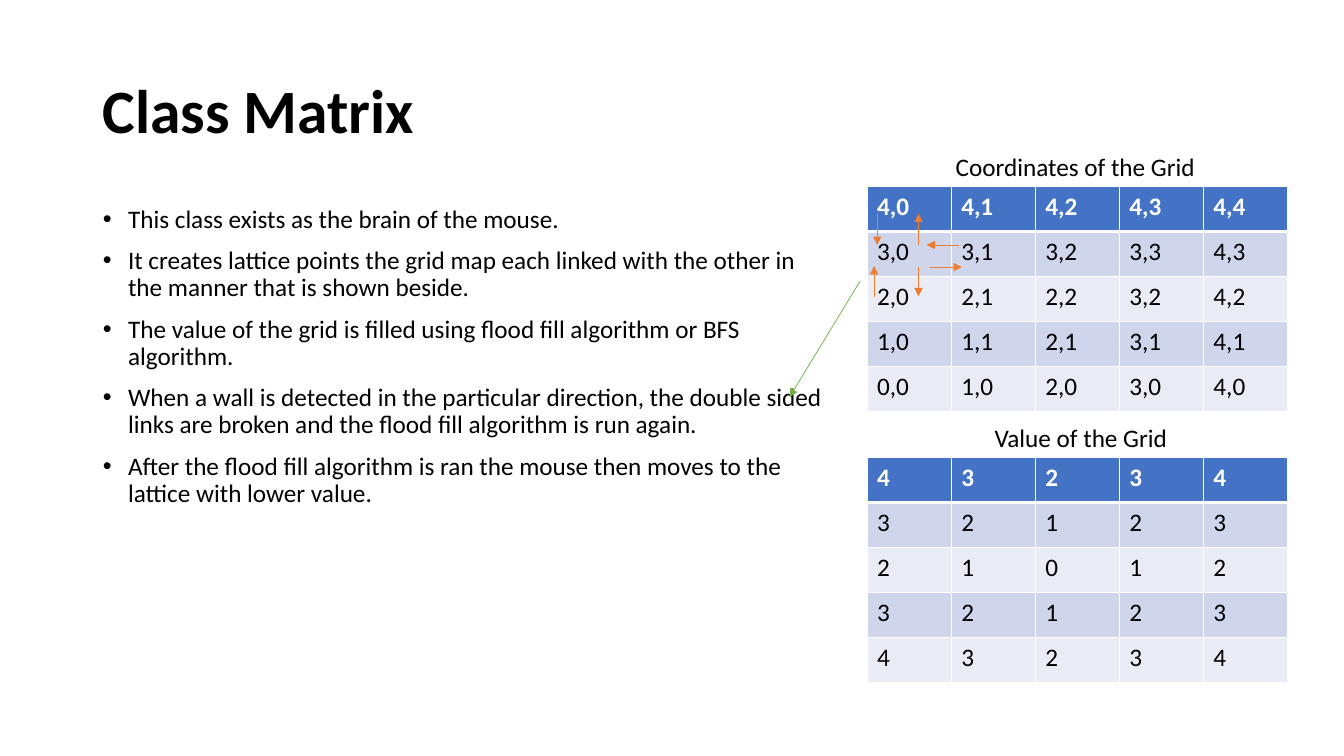
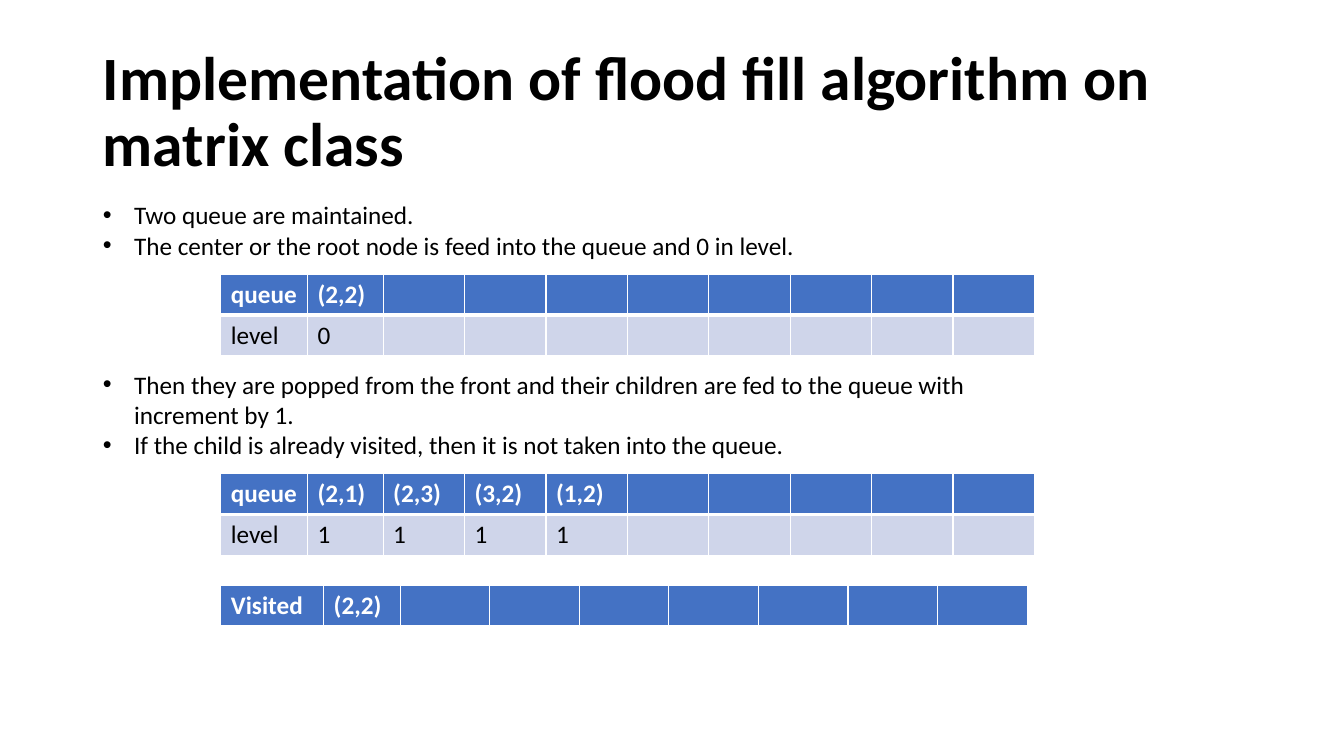
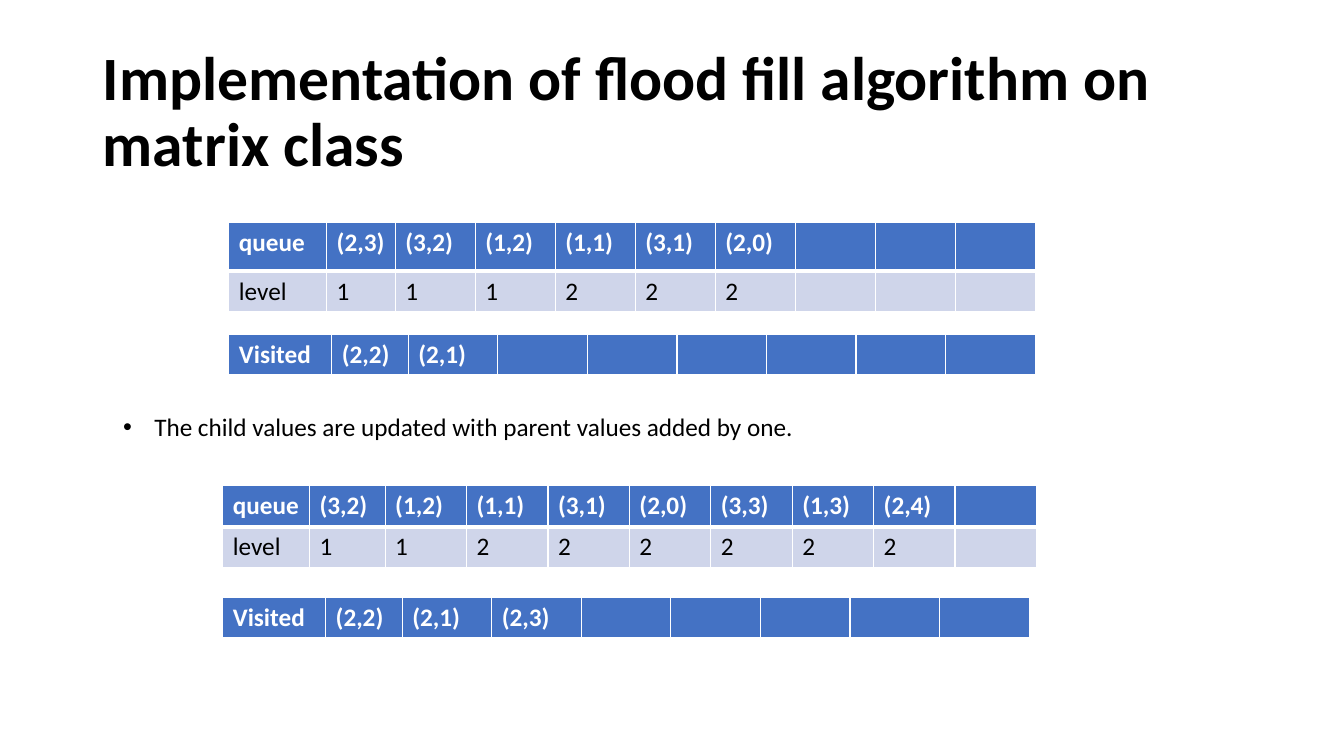
import dataclasses

import lxml.etree
import pptx
import pptx.dml.color
import pptx.enum.shapes
import pptx.enum.text
import pptx.oxml.ns
import pptx.util

PX = 9144  # EMU per px, 100 px to the inch
qn = pptx.oxml.ns.qn
ALIGN = pptx.enum.text.PP_ALIGN
ANCHOR = pptx.enum.text.MSO_ANCHOR


@dataclasses.dataclass(frozen=True)
class Theme:
    font: str = "Calibri"
    ink: str = "000000"
    paper: str = "FFFFFF"
    head: str = "4472C4"
    bands: tuple = ("CFD5EA", "E9EBF5")
    link: str = "ED7D31"
    note: str = "70AD47"
    big: int = 44
    base: int = 18
    thin: float = 0.5
    rule: int = 1
    thick: int = 3


def px(n):
    return pptx.util.Emu(round(n * PX))


def rgb(code):
    return pptx.dml.color.RGBColor.from_string(code)


class Deck:
    def __init__(self, theme):
        self.theme = theme
        self.show = pptx.Presentation()
        self.show.slide_width, self.show.slide_height = px(1333), px(750)

    def page(self, title, lists):
        """Start a slide whose layout has room for this many lists."""
        layout = self.show.slide_layouts[{1: 1, 2: 3}[lists]]
        self.slide = self.show.slides.add_slide(layout)
        self.slots = [p for p in self.slide.placeholders
                      if p.placeholder_format.idx > 0]
        head = self.slide.shapes.title
        self.place(head, 92, 40, 1150, 145)
        self.words(head.text_frame, title, self.theme.big, bold=True,
                   lead=0.9, anchor=ANCHOR.MIDDLE)

    def place(self, shape, x, y, w, h):
        shape.left, shape.top = px(x), px(y)
        shape.width, shape.height = px(w), px(h)

    def words(self, frame, text, size=None, bold=False, color=None,
              align=ALIGN.LEFT, lead=1.0, gap=0, anchor=ANCHOR.TOP):
        frame.text = text
        frame.word_wrap = True
        frame.auto_size = pptx.enum.text.MSO_AUTO_SIZE.NONE
        frame.vertical_anchor = anchor
        for para in frame.paragraphs:
            self.style(para, size, bold, color)
            para.alignment = align
            para.line_spacing = lead
            para.space_before = pptx.util.Pt(gap)

    def style(self, para, size=None, bold=False, color=None):
        for run in para.runs:
            run.font.name = self.theme.font
            run.font.size = pptx.util.Pt(size or self.theme.base)
            run.font.bold = bold
            run.font.color.rgb = rgb(color or self.theme.ink)

    def bullets(self, x, y, w, h, items, indent=31, lead=1.0, gap=0):
        body = self.slots.pop(0)
        self.place(body, x, y, w, h)
        self.words(body.text_frame, "\n".join(items), lead=lead, gap=gap)
        for para in body.text_frame.paragraphs:
            props = para._p.get_or_add_pPr()
            props.set("marL", str(px(indent)))
            props.set("indent", str(-px(indent)))

    def label(self, x, y, w, h, text, align=ALIGN.LEFT):
        box = self.slide.shapes.add_textbox(px(x), px(y), px(w), px(h))
        self.words(box.text_frame, text, align=align)

    def arrow(self, start, end, color):
        line = self.slide.shapes.add_connector(
            pptx.enum.shapes.MSO_CONNECTOR.STRAIGHT,
            *(px(n) for n in (*start, *end)))
        line.line.color.rgb = rgb(color)
        line.line.width = pptx.util.Pt(self.theme.thin)
        stroke = line.line._get_or_add_ln()
        lxml.etree.SubElement(stroke, qn("a:tailEnd"), type="triangle")
        lxml.etree.SubElement(line._element.spPr, qn("a:effectLst"))

    def edge(self, cell, side, width):
        props = cell._tc.get_or_add_tcPr()
        stroke = lxml.etree.SubElement(props, qn("a:ln" + side),
                                       w=str(pptx.util.Pt(width)))
        fill = lxml.etree.SubElement(stroke, qn("a:solidFill"))
        lxml.etree.SubElement(fill, qn("a:srgbClr"), val=self.theme.paper)

    def table(self, x, y, w, high, rows, count, first=()):
        """Columns take the first widths, then share the rest equally."""
        look = self.theme
        grid = self.slide.shapes.add_table(
            len(rows), count, px(x), px(y), px(w), px(sum(high))).table
        grid.horz_banding = False
        share = (w - sum(first)) / (count - len(first))
        wide = [*first, *[share] * (count - len(first))]
        for col, size in zip(grid.columns, wide):
            col.width = px(size)
        for r, row in enumerate(rows):
            grid.rows[r].height = px(high[r])
            top = r == 0
            fill = look.head if top else look.bands[(r - 1) % 2]
            for c in range(count):
                cell = grid.cell(r, c)
                for side in "LRTB" if top else "LRB":
                    heavy = top and side == "B"
                    self.edge(cell, side, look.thick if heavy else look.rule)
                cell.fill.solid()
                cell.fill.fore_color.rgb = rgb(fill)
                if c < len(row):
                    cell.text_frame.text = row[c]
                    self.style(cell.text_frame.paragraphs[0], bold=top,
                               color=look.paper if top else look.ink)

    def queue(self, x, y, nodes, levels, w=807, high=(40, 40),
              first=(86, 75)):
        rows = [["queue", *nodes.split()], ["level", *levels]]
        self.table(x, y, w, high, rows, 10, first)

    def seen(self, x, y, nodes):
        self.table(x, y, 800, (41,), [["Visited", *nodes.split()]], 9,
                   (102, 76))


def matrix(deck):
    deck.page("Class Matrix", 1)
    deck.bullets(92, 200, 735, 476, [
        "This class exists as the brain of the mouse.",
        "It creates lattice points the grid map each linked with the other "
        "in the manner that is shown beside.",
        "The value of the grid is filled using flood fill algorithm or BFS "
        "algorithm.",
        "When a wall is detected in the particular direction, the double "
        "sided links are broken and the flood fill algorithm is run again.",
        "After the flood fill algorithm is ran the mouse then moves to the "
        "lattice with lower value.",
    ], indent=25, lead=0.9, gap=10)

    # Grids with their captions
    points = ["4,0 4,1 4,2 4,3 4,4", "3,0 3,1 3,2 3,3 4,3",
              "2,0 2,1 2,2 3,2 4,2", "1,0 1,1 2,1 3,1 4,1",
              "0,0 1,0 2,0 3,0 4,0"]
    costs = ["4 3 2 3 4", "3 2 1 2 3", "2 1 0 1 2", "3 2 1 2 3",
             "4 3 2 3 4"]
    for y, rows in ((185, points), (454, costs)):
        deck.table(860, y, 417, [44.6] * 5, [r.split() for r in rows], 5)
    deck.label(938, 145, 268, 40, "Coordinates of the Grid")
    deck.label(938, 414, 268, 40, "Value of the Grid", ALIGN.CENTER)

    # Links between cells, and the pointer to the text
    for start, end in (((951, 243), (919, 243)), ((911, 265), (911, 294)),
                       ((911, 243), (911, 212)), ((922, 265), (954, 265)),
                       ((870, 212), (870, 243)), ((867, 295), (867, 264))):
        deck.arrow(start, end, deck.theme.link)
    deck.arrow((853, 279), (783, 394), deck.theme.note)


FLOOD = "Implementation of flood fill algorithm on matrix class"


def begin(deck):
    deck.page(FLOOD, 2)
    deck.bullets(92, 193, 935, 71, [
        "Two queue are maintained.",
        "The center or the root node is feed into the queue and 0 in level.",
    ])
    deck.queue(219, 272, "(2,2)", "0")
    deck.bullets(92, 361, 935, 101, [
        "Then they are popped from the front and their children are fed to "
        "the queue with increment by 1.",
        "If the child is already visited, then it is not taken into the "
        "queue.",
    ])
    deck.queue(219, 470, "(2,1) (2,3) (3,2) (1,2)", "1111")
    deck.seen(219, 581, "(2,2)")


def spread(deck):
    deck.page(FLOOD, 1)
    deck.queue(227, 221, "(2,3) (3,2) (1,2) (1,1) (3,1) (2,0)", "111222",
               w=800, high=(48, 40), first=(97, 68))
    deck.seen(227, 332, "(2,2) (2,1)")
    deck.bullets(112, 403, 1075, 40, [
        "The child values are updated with parent values added by one."])
    deck.queue(221, 482,
               "(3,2) (1,2) (1,1) (3,1) (2,0) (3,3) (1,3) (2,4)", "11222222")
    deck.seen(221, 593, "(2,2) (2,1) (2,3)")


def main():
    deck = Deck(Theme())
    for build in (matrix, begin, spread):
        build(deck)
    deck.show.save("out.pptx")


if __name__ == "__main__":
    main()
